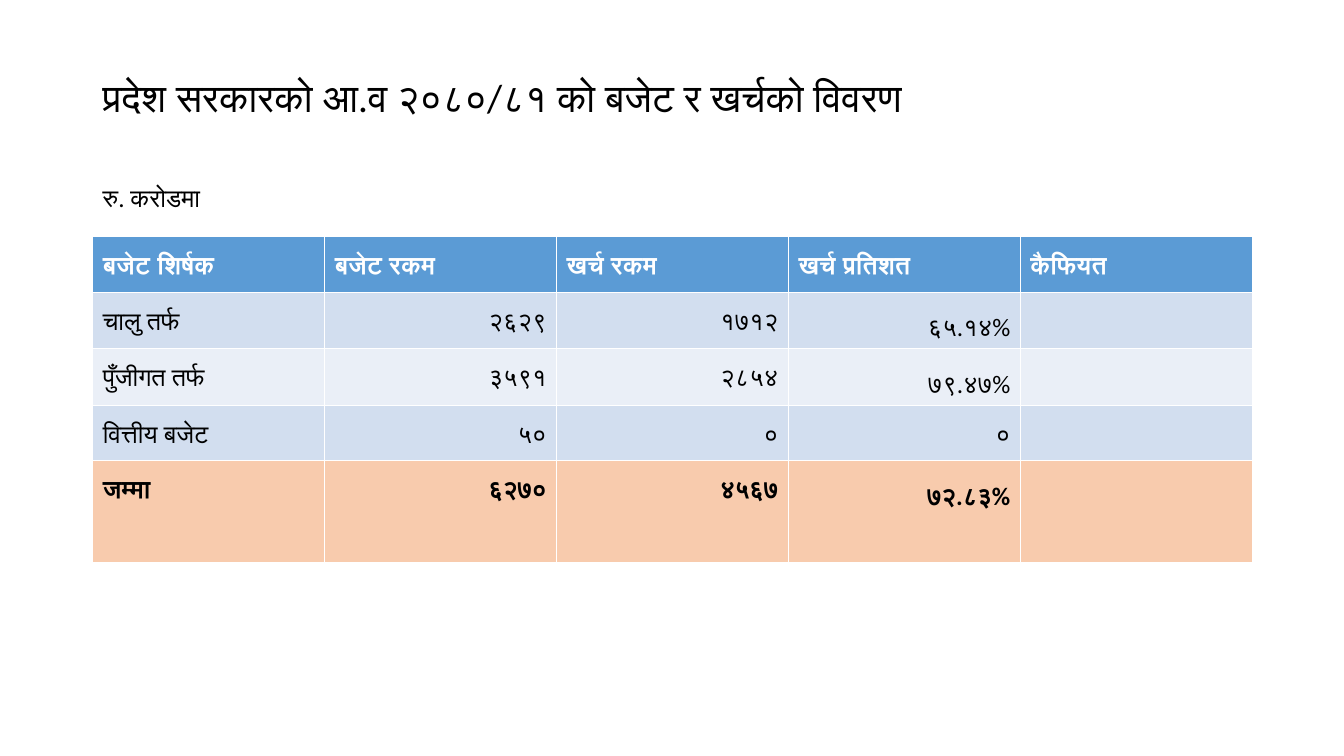
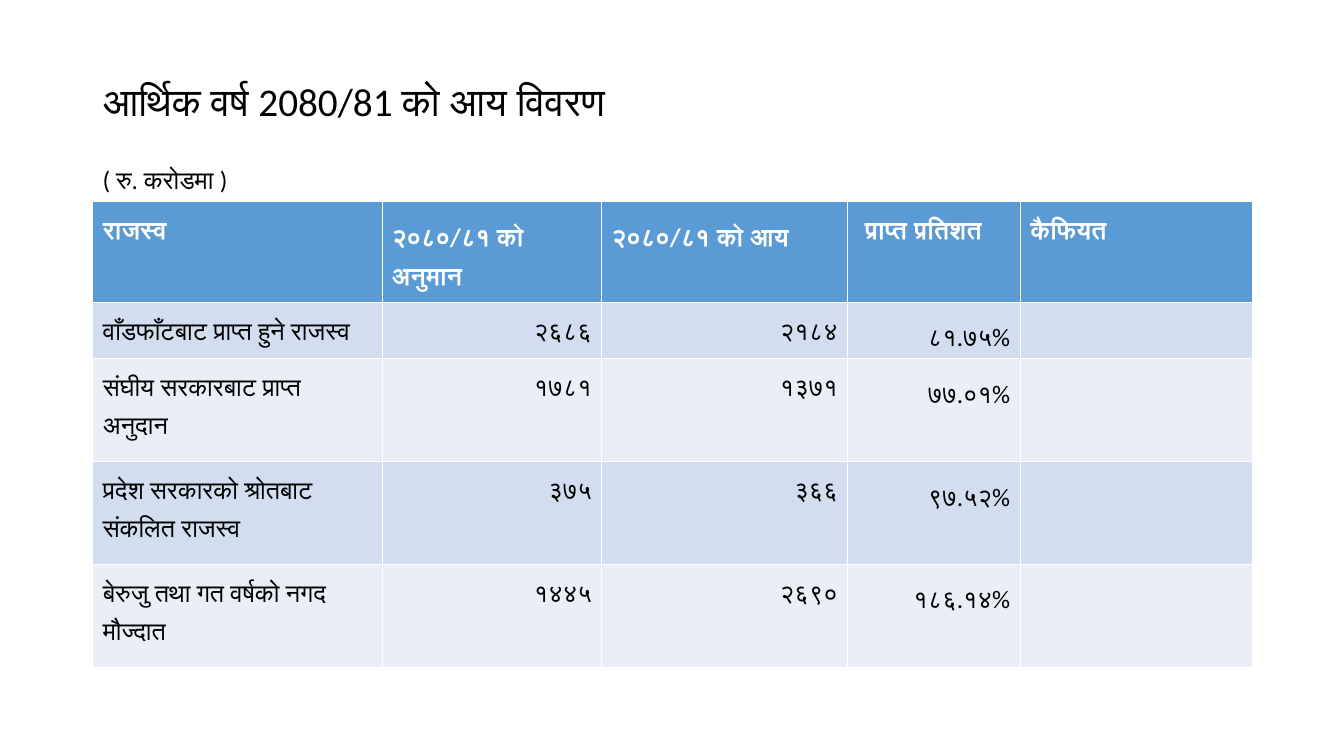
import pptx
import pptx.util
import pptx.dml.color
import pptx.enum.text

Inch = pptx.util.Inches
Align = pptx.enum.text.PP_ALIGN
Anchor = pptx.enum.text.MSO_ANCHOR

WIDE, HIGH = 13.33, 7.5
LEFT, SPAN = 0.92, 11.5
HUES = {"text": "000000", "light": "FFFFFF", "head": "5B9BD5",
        "odd": "D2DEEF", "even": "EAEFF7", "total": "F8CBAD"}
FONT = {"name": "Calibri", "size": pptx.util.Pt(18), "bold": False}
TITLE = {**FONT, "size": pptx.util.Pt(28)}
BOLD = {**FONT, "bold": True}

PAGES = [
    {
        "title": "प्रदेश सरकारको आ.व २०८०/८१ को बजेट र खर्चको विवरण",
        "band": (0.4, 1.18),
        "unit": "रु. करोडमा", "unit_box": (1.76, 1.66),
        "top": 2.35,
        "cols": [2.3] * 5,
        "rows": [0.47, 0.56, 0.56, 0.47, 1.01],
        "total": True,
        "cells": [
            ("बजेट शिर्षक", "बजेट रकम", "खर्च रकम", "खर्च प्रतिशत", "कैफियत"),
            ("चालु तर्फ", "२६२९", "१७१२", "६५.१४%", ""),
            ("पुँजीगत तर्फ", "३५९१", "२८५४", "७९.४७%", ""),
            ("वित्तीय बजेट", "५०", "०", "०", ""),
            ("जम्मा", "६२७०", "४५६७", "७२.८३%", ""),
        ],
    },
    {
        "title": "आर्थिक वर्ष 2080/81 को आय विवरण",
        "band": (0.48, 1.1),
        "unit": "( रु. करोडमा )", "unit_box": (1.58, 2.08),
        "top": 2,
        "cols": [2.87, 2.18, 2.44, 1.71, 2.3],
        "rows": [0.92, 0.56, 1.02, 1.02, 1.02],
        "total": False,
        "cells": [
            ("राजस्व", "२०८०/८१ को अनुमान", "२०८०/८१ को आय", " प्राप्त प्रतिशत", "कैफियत"),
            ("वाँडफाँटबाट प्राप्त हुने राजस्व", "२६८६", "२१८४", "८१.७५%", ""),
            ("संघीय सरकारबाट प्राप्त अनुदान", "१७८१", "१३७१", "७७.०१%", ""),
            ("प्रदेश सरकारको श्रोतबाट संकलित राजस्व", "३७५", "३६६", "९७.५२%", ""),
            ("बेरुजु तथा गत वर्षको नगद मौज्दात", "१४४५", "२६९०", "१८६.१४%", ""),
        ],
    },
]


def color(key):
    return pptx.dml.color.RGBColor.from_string(HUES[key])


def write(frame, text, font, hue="text", **para):
    """Put one styled paragraph in a text frame."""
    line = frame.paragraphs[0]
    for name, value in para.items():
        setattr(line, name, value)
    if text:
        run = line.add_run()
        run.text = text
        for name, value in font.items():
            setattr(run.font, name, value)
        run.font.color.rgb = color(hue)


def label(slide, box, text, font, anchor, **para):
    frame = slide.shapes.add_textbox(*map(Inch, box)).text_frame
    frame.word_wrap = True
    frame.vertical_anchor = anchor
    write(frame, text, font, **para)


def row_kind(row, page):
    if row == 0:
        return "head"
    if page["total"] and row == len(page["rows"]) - 1:
        return "total"
    return "odd" if row % 2 else "even"


def add_grid(slide, page):
    cols, rows = page["cols"], page["rows"]
    box = map(Inch, (LEFT, page["top"], SPAN, sum(rows)))
    grid = slide.shapes.add_table(len(rows), len(cols), *box).table
    for col, width in zip(grid.columns, cols):
        col.width = Inch(width)
    for r, (height, texts) in enumerate(zip(rows, page["cells"])):
        grid.rows[r].height = Inch(height)
        kind = row_kind(r, page)
        font = BOLD if kind in ("head", "total") else FONT
        hue = "light" if kind == "head" else "text"
        for c, text in enumerate(texts):
            cell = grid.cell(r, c)
            cell.fill.solid()
            cell.fill.fore_color.rgb = color(kind)
            side = Align.RIGHT if r and c else Align.LEFT
            write(cell.text_frame, text, font, hue,
                  alignment=side, line_spacing=1.5)


def main():
    deck = pptx.Presentation()
    deck.slide_width, deck.slide_height = Inch(WIDE), Inch(HIGH)
    for page in PAGES:
        slide = deck.slides.add_slide(deck.slide_layouts[6])
        top, height = page["band"]
        label(slide, (LEFT, top, SPAN, height), page["title"], TITLE,
              Anchor.MIDDLE, line_spacing=0.9)
        add_grid(slide, page)
        top, width = page["unit_box"]
        label(slide, (LEFT, top, width, 0.4), page["unit"], FONT, Anchor.TOP)
    deck.save("out.pptx")


if __name__ == "__main__":
    main()
